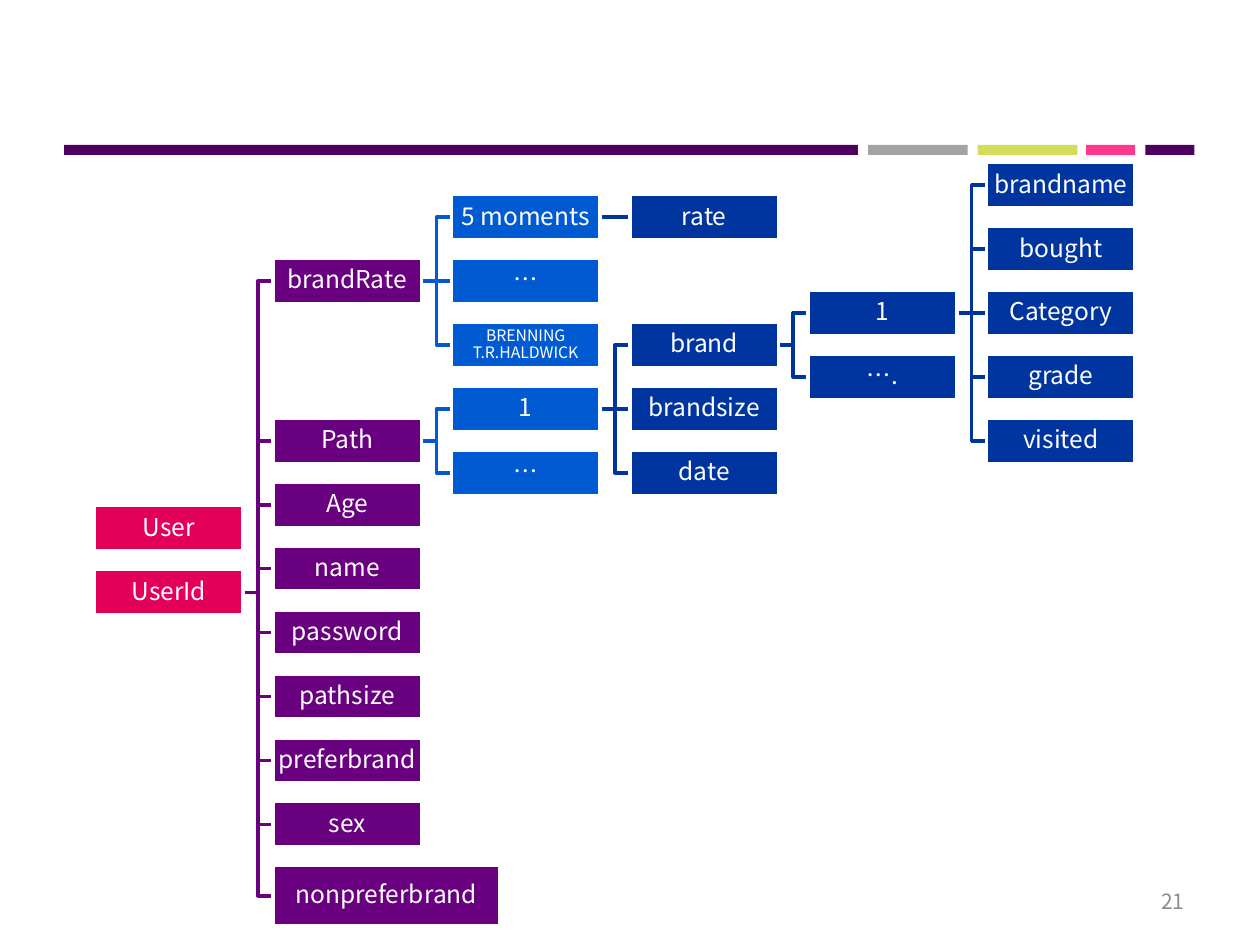
from lxml.etree import SubElement
from pptx import Presentation
from pptx.dml.color import RGBColor
from pptx.enum.shapes import MSO_CONNECTOR as CONN, MSO_SHAPE as SHAPE
from pptx.enum.text import MSO_ANCHOR as ANCHOR, PP_ALIGN as ALIGN
from pptx.oxml.ns import qn
from pptx.util import Inches, Pt

FONT = "Noto Sans CJK KR"
WHITE = RGBColor(0xFF, 0xFF, 0xFF)
PINK = RGBColor(0xE4, 0x00, 0x59)
PURPLE = RGBColor(0x68, 0x00, 0x7F)
BLUE = RGBColor(0x00, 0x5B, 0xD3)
NAVY = RGBColor(0x00, 0x34, 0x9E)
PLUM = RGBColor(0x4E, 0x00, 0x5F)
GREY = RGBColor(0xA3, 0xA3, 0xA3)
LIME = RGBColor(0xD1, 0xDD, 0x5B)
ROSE = RGBColor(0xFF, 0x38, 0x8C)
PAGE_GREY = RGBColor(0x8C, 0x8C, 0x8C)

# Header bars: left, width, colour
BARS = [(0.51, 6.3, PLUM), (6.89, 0.79, GREY), (7.76, 0.79, LIME),
        (8.62, 0.39, ROSE), (9.09, 0.39, PLUM)]

# Tree nodes: label, row, children
FIELDS = ["Age", "name", "password", "pathsize", "preferbrand", "sex",
          "nonpreferbrand"]
BRAND_FIELDS = ["brandname", "bought", "Category", "grade", "visited"]
BRAND = ("brand", 2.5, [
    ("1", 2, [(name, row, []) for row, name in enumerate(BRAND_FIELDS)]),
    ("….", 3, []),
])
USER_ID = ("UserId", 6.37, [
    ("brandRate", 1.5, [
        ("5 moments", 0.5, [("rate", 0.5, [])]),
        ("…", 1.5, []),
        ("BRENNING T.R.HALDWICK", 2.5, []),
    ]),
    ("Path", 4, [
        ("1", 3.5, [BRAND, ("brandsize", 3.5, []), ("date", 4.5, [])]),
        ("…", 4.5, []),
    ]),
    *[(name, row, []) for row, name in enumerate(FIELDS, 5)],
])
USER = ("User", 5.37, [])

LEVEL_COLORS = [PINK, PURPLE, BLUE, NAVY, NAVY, NAVY]
SIZES = {"nonpreferbrand": (1.8, 0.48)}
BOX_SIZE = (1.18, 0.36)
SMALL_LABELS = {"BRENNING T.R.HALDWICK"}
LEFT, TOP = 0.75, 1.29
COL_STEP = 7.08 / 5
ROW_STEP = 5.58 / 11
LEFT_SITE, RIGHT_SITE = 1, 3


def write(shape, text, size, color, align):
    tf = shape.text_frame
    tf.word_wrap = True
    tf.vertical_anchor = ANCHOR.MIDDLE
    p = tf.paragraphs[0]
    p.alignment = align
    r = p.add_run()
    r.text = text
    r.font.name, r.font.size = FONT, Pt(size)
    r.font.color.rgb = color
    # The ellipsis takes its glyph from the East Asian font
    SubElement(r.font._element, qn("a:ea"), typeface=FONT)
    return tf


def add_rect(s, x, y, w, h, color):
    sp = s.shapes.add_shape(SHAPE.RECTANGLE, Inches(x), Inches(y),
                            Inches(w), Inches(h))
    sp.shadow.inherit = False
    sp.fill.solid()
    sp.fill.fore_color.rgb = color
    sp.line.fill.background()
    return sp


def add_link(s, parent, child, color, straight):
    kind = CONN.STRAIGHT if straight else CONN.ELBOW
    link = s.shapes.add_connector(kind, 0, 0, 0, 0)
    link.begin_connect(parent, RIGHT_SITE)
    link.end_connect(child, LEFT_SITE)
    link.line.color.rgb = color
    link.line.width = Pt(2)
    SubElement(link._element.spPr, qn("a:effectLst"))
    s.shapes._spTree.insert(2, link._element)  # behind the boxes


def add_node(s, node, level=0):
    """Draw a node and its subtree, and return the node's box."""
    label, row, children = node
    box = add_rect(s, LEFT + level * COL_STEP, TOP + row * ROW_STEP,
                   *SIZES.get(label, BOX_SIZE), LEVEL_COLORS[level])
    box.line.color.rgb = WHITE
    box.line.width = Pt(2)
    size = 9 if label in SMALL_LABELS else 14
    tf = write(box, label, size, WHITE, ALIGN.CENTER)
    tf.paragraphs[0].line_spacing = 0.9
    tf.margin_left = tf.margin_right = Inches(0.01)
    tf.margin_top = tf.margin_bottom = Inches(0.01)
    for child in children:
        child_box = add_node(s, child, level + 1)
        add_link(s, box, child_box, LEVEL_COLORS[level + 1], child[1] == row)
    return box


def main():
    prs = Presentation()
    prs.slide_width, prs.slide_height = Inches(10), Inches(7.5)
    s = prs.slides.add_slide(prs.slide_layouts[6])
    for x, w, color in BARS:
        add_rect(s, x, 1.15, w, 0.08, color)
    page = s.shapes.add_textbox(Inches(7.17), Inches(6.95),
                                Inches(2.33), Inches(0.4))
    write(page, "21", 12, PAGE_GREY, ALIGN.RIGHT)
    for root in (USER, USER_ID):
        add_node(s, root)
    prs.save("out.pptx")


if __name__ == "__main__":
    main()
